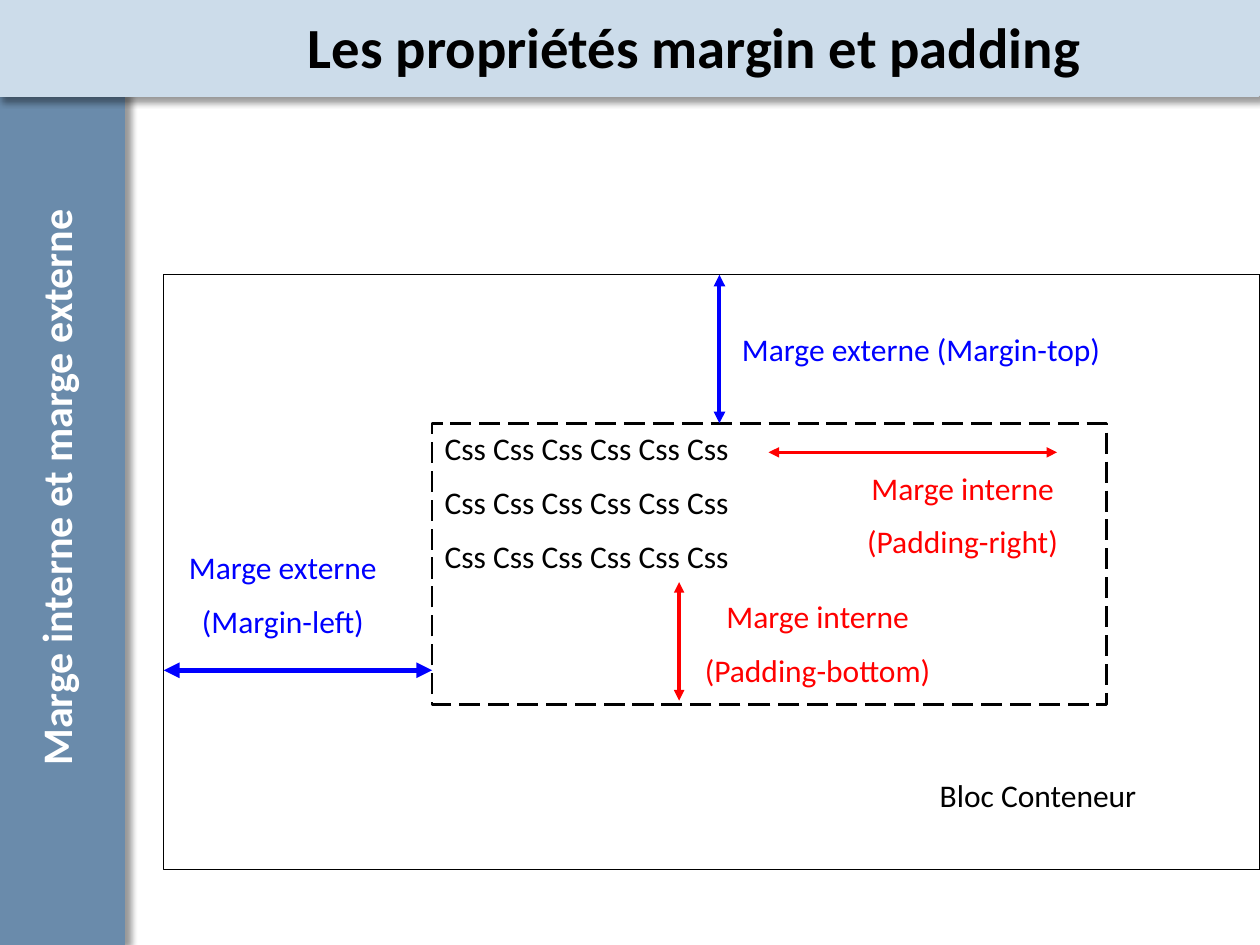
import pptx
import pptx.dml.color
import pptx.enum.dml
import pptx.enum.shapes
import pptx.enum.text
import pptx.oxml
import pptx.oxml.ns
import pptx.util
from pptx.util import Inches

ALIGN = pptx.enum.text.PP_ALIGN
ANCHOR = pptx.enum.text.MSO_ANCHOR
BLACK, BLUE, RED, WHITE = "000000", "0000FF", "FF0000", "FFFFFF"
NAMES = 'xmlns:a="http://schemas.openxmlformats.org/drawingml/2006/main"'


def apply(item, values):
    """Set each attribute in a dict of format values."""
    for name, value in values.items():
        setattr(item, name, value)


def paint(target, color):
    """Give a fill a solid colour, or a font its colour."""
    if hasattr(target, "solid"):
        target.solid()
        target.fore_color.rgb = pptx.dml.color.RGBColor.from_string(color)
    else:
        target.color.rgb = pptx.dml.color.RGBColor.from_string(color)


def place(shape, box):
    """Move a shape to a box given in inches."""
    apply(shape, dict(zip(("left", "top", "width", "height"), map(Inches, box))))


def write(shape, lines, color, size=18, bold=False, align=ALIGN.LEFT, anchor=ANCHOR.TOP):
    """Fill a shape with evenly spaced paragraphs."""
    frame = shape.text_frame
    apply(frame, {"word_wrap": True, "vertical_anchor": anchor, "text": "\n".join(lines)})
    for rank, para in enumerate(frame.paragraphs):
        apply(para, {"alignment": align, "space_before": pptx.util.Pt(9 if rank else 0)})
        apply(para.font, {"name": "Calibri", "size": pptx.util.Pt(size), "bold": bold})
        paint(para.font, color)


def label(slide, box, lines, color, **style):
    """Add a text box and return it."""
    shape = slide.shapes.add_textbox(*map(Inches, box))
    write(shape, lines, color, **style)
    return shape


def block(slide, box, fill, line, width):
    """Add a plain rectangle and return it."""
    shape = slide.shapes.add_shape(pptx.enum.shapes.MSO_SHAPE.RECTANGLE, *map(Inches, box))
    shape.shadow.inherit = False
    if fill:
        paint(shape.fill, fill)
    else:
        shape.fill.background()
    paint(shape.line.fill, line)
    shape.line.width = pptx.util.Pt(width)
    return shape


def band(slide, box, color, angle):
    """Add a coloured band that casts a soft shadow."""
    shape = block(slide, box, color, color, 2)
    effects = shape.element.spPr.find(pptx.oxml.ns.qn("a:effectLst"))
    effects.append(pptx.oxml.parse_xml(
        f'<a:outerShdw {NAMES} blurRad="{pptx.util.Pt(4)}" dist="{pptx.util.Pt(3)}" '
        f'dir="{angle * 60000}" algn="tl" rotWithShape="0">'
        f'<a:srgbClr val="{BLACK}"><a:alpha val="40000"/></a:srgbClr></a:outerShdw>'))


def arrow(slide, start, end, color, width):
    """Add a straight arrow with a head at both ends."""
    link = slide.shapes.add_connector(
        pptx.enum.shapes.MSO_CONNECTOR.STRAIGHT, *map(Inches, start + end))
    paint(link.line.fill, color)
    link.line.width = pptx.util.Pt(width)
    for tag in ("headEnd", "tailEnd"):
        link.line._get_or_add_ln().append(
            pptx.oxml.parse_xml(f'<a:{tag} {NAMES} type="triangle"/>'))
    link.element.spPr.append(pptx.oxml.parse_xml(f"<a:effectLst {NAMES}/>"))


def inner(slide, box):
    """Draw the dashed block, its text and its padding."""
    x, y, width, height = box
    shape = block(slide, box, None, BLACK, 1.5)
    shape.line.dash_style = pptx.enum.dml.MSO_LINE.LONG_DASH
    write(shape, [" ".join(["Css"] * 6)] * 3, BLACK)
    arrow(slide, (x + 2.67, y + 0.23), (x + 4.96, y + 0.23), RED, 2)
    arrow(slide, (x + 1.96, y + 1.26), (x + 1.96, y + 2.2), RED, 2)
    for side, left, top, span in (("bottom", 1.88, 1.33, 2.36), ("right", 3.07, 0.31, 2.28)):
        label(slide, (x + left, y + top, span, 0.93),
              ["Marge interne", f"(Padding-{side})"], RED, align=ALIGN.CENTER)


def outer(slide, box):
    """Draw the container, its margins and the block inside."""
    x, y, width, height = box
    block(slide, box, WHITE, BLACK, 0.75)
    core = (x + 2.13, y + 1.18, 5.35, 2.23)
    inner(slide, core)
    arrow(slide, (x, y + 3.14), (core[0], y + 3.14), BLUE, 3)
    arrow(slide, (x + 4.41, y), (x + 4.41, core[1]), BLUE, 2.25)
    label(slide, (x + 4.49, y + 0.39, 3.62, 0.43), ["Marge externe (Margin-top)"], BLUE)
    label(slide, (x - 0.16, y + 2.12, 2.21, 0.93),
          ["Marge externe", "(Margin-left)"], BLUE, align=ALIGN.CENTER)
    label(slide, (x + 6.06, y + 3.93, 1.97, 0.4), ["Bloc Conteneur"], BLACK)


def sidebar(slide, box):
    """Draw the left band with its upward heading."""
    x, y, width, height = box
    band(slide, box, "6A8BAB", 0)
    text = label(slide, (x - 2.21, y + 2.81, 5.42, 0.6),
                 ["Marge interne et marge externe"], WHITE,
                 size=24, bold=True, align=ALIGN.CENTER)
    text.rotation = 270


def header(slide, box):
    """Draw the top band and set the title on it."""
    x, y, width, height = box
    band(slide, box, "CCDCEA", 45)
    title = slide.shapes.title
    place(title, (x + 1.15, y + 0.05, 8.74, 0.63))
    write(title, ["Les propriétés margin et padding"], BLACK,
          size=32.4, bold=True, align=ALIGN.CENTER, anchor=ANCHOR.MIDDLE)
    title.element.getparent().append(title.element)


def main():
    """Build and save the slide."""
    deck = pptx.Presentation()
    apply(deck, {"slide_width": Inches(10), "slide_height": Inches(7.5)})
    slide = deck.slides.add_slide(deck.slide_layouts[5])
    outer(slide, (1.3, 2.18, 8.7, 4.72))
    sidebar(slide, (-0.01, 0.76, 0.99, 6.74))
    header(slide, (-0.01, 0, 10, 0.76))
    deck.save("out.pptx")


if __name__ == "__main__":
    main()
